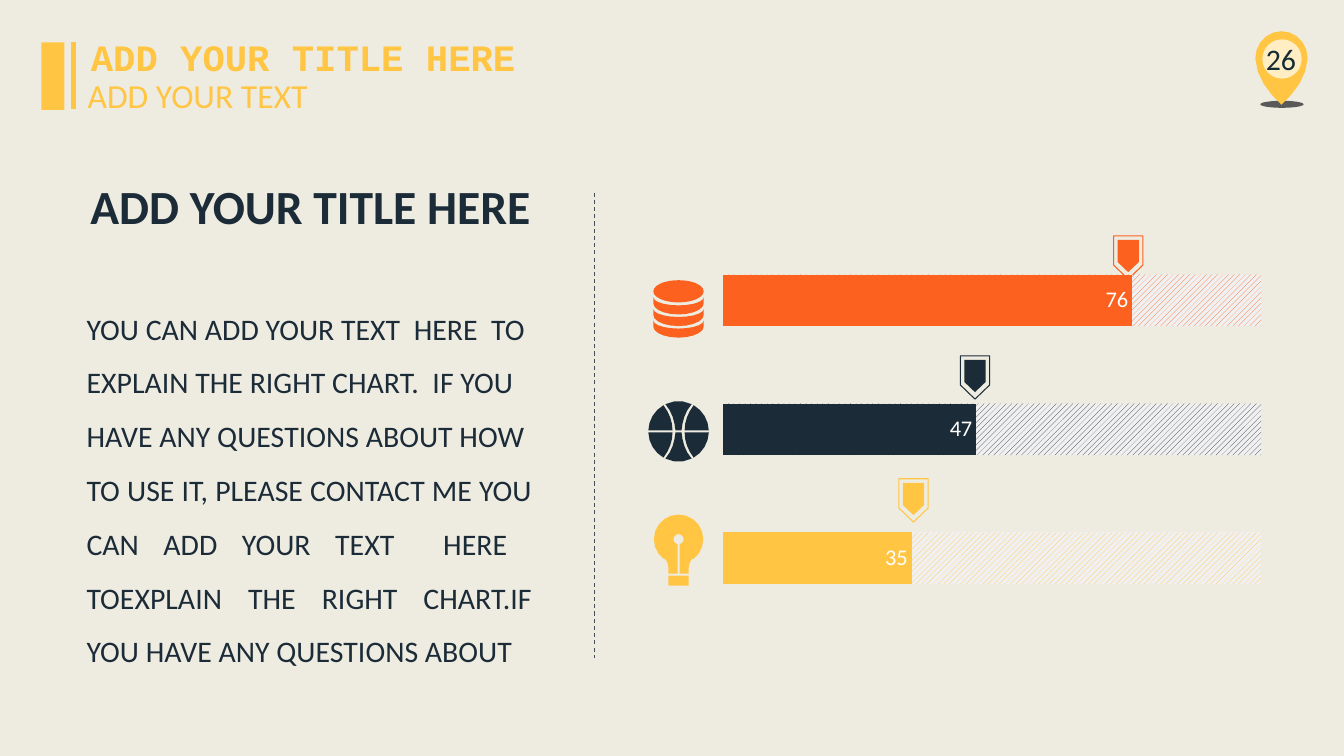
from math import ceil, cos, radians, sin

from lxml.etree import SubElement
from pptx import Presentation
from pptx.chart.data import CategoryChartData
from pptx.dml.color import RGBColor
from pptx.enum.chart import XL_CHART_TYPE, XL_LABEL_POSITION
from pptx.enum.dml import MSO_LINE, MSO_PATTERN
from pptx.enum.shapes import MSO_CONNECTOR, MSO_SHAPE
from pptx.enum.text import MSO_ANCHOR, PP_ALIGN
from pptx.oxml import parse_xml
from pptx.oxml.ns import nsdecls, qn
from pptx.util import Inches, Pt

CREAM, YELLOW, NAVY, ORANGE = "EEECE1", "FFC543", "1C2B38", "FC611F"


def color(value):
    return RGBColor.from_string(value)


def style(shape, fill=None, line=None):
    shape.shadow.inherit = False
    if fill:
        shape.fill.solid()
        shape.fill.fore_color.rgb = color(fill)
    else:
        shape.fill.background()
    if line:
        shape.line.color.rgb = color(line)
        shape.line.width = Pt(0)
    else:
        shape.line.fill.background()
    return shape


def add_preset(slide, kind, left, top, width, height, fill):
    box = (Inches(value) for value in (left, top, width, height))
    return style(slide.shapes.add_shape(kind, *box), fill)


def add_outline(slide, left, top, points, fill=None, line=None):
    corners = [(Inches(left + x), Inches(top + y)) for x, y in points]
    builder = slide.shapes.build_freeform(*corners[0])
    builder.add_line_segments(corners[1:], close=True)
    return style(builder.convert_to_shape(), fill, line)


def add_line(slide, x, top, bottom, stroke, width, dash=None):
    line = slide.shapes.add_connector(
        MSO_CONNECTOR.STRAIGHT, Inches(x), Inches(top), Inches(x), Inches(bottom))
    line.line.color.rgb = color(stroke)
    formats = {"width": Pt(width), "dash_style": dash}
    for name, value in formats.items():
        setattr(line.line, name, value)
    SubElement(line._element.spPr, qn("a:effectLst"))


def add_text(slide, box, lines, size, fill, font="Calibri", bold=False,
             wrap=False, anchor=MSO_ANCHOR.TOP, **paragraph_formats):
    frame = slide.shapes.add_textbox(*(Inches(value) for value in box)).text_frame
    frame.word_wrap = wrap
    frame.vertical_anchor = anchor
    frame.text = "\n".join(lines)
    for paragraph in frame.paragraphs:
        for name, value in paragraph_formats.items():
            setattr(paragraph, name, value)
        run_font = paragraph.runs[0].font
        for name, value in {"size": Pt(size), "name": font, "bold": bold}.items():
            setattr(run_font, name, value)
        run_font.color.rgb = color(fill)


# Outline geometry, in inches; angles run clockwise from the right
def arc(x, y, radius_x, radius_y, start, end):
    steps = ceil(abs(end - start) / 18)
    angles = [radians(start + (end - start) * i / steps) for i in range(steps + 1)]
    return [(x + radius_x * cos(a), y + radius_y * sin(a)) for a in angles]


def curve(*controls, steps=4):
    weights = [(i / steps, 1 - i / steps) for i in range(steps + 1)]
    return [tuple(u ** 3 * a + 3 * u * u * t * b + 3 * u * t * t * c + t ** 3 * d
                  for a, b, c, d in zip(*controls)) for t, u in weights]


def mirror(points, x=1, y=1):
    return [(x * px, y * py) for px, py in points]


# Header: bars, title and subtitle
def add_header(slide, left, top):
    add_preset(slide, MSO_SHAPE.RECTANGLE, left, top, 0.23, 0.67, YELLOW)
    add_line(slide, left + 0.32, top, top + 0.66, YELLOW, 3)
    add_text(slide, (left + 0.38, top - 0.13, 4.44, 0.55), ["ADD YOUR TITLE HERE"],
             26.67, YELLOW, "Courier New", True, alignment=PP_ALIGN.CENTER)
    add_text(slide, (left + 0.36, top + 0.27, 2.41, 0.5), ["ADD YOUR TEXT"], 24, YELLOW)


# Page number inside a map pin
def add_page_pin(slide, x, y, number):
    add_preset(slide, MSO_SHAPE.OVAL, x - 0.21, y + 0.42, 0.43, 0.07, "595959")
    side = curve((0.26, 0), (0.25, 0.18), (0.14, 0.33), (0, 0.46))
    pin = arc(0, 0, 0.26, 0.27, 180, 360) + side[1:] + mirror(side, x=-1)[-2:0:-1]
    add_outline(slide, x, y, pin, YELLOW)
    disc = add_preset(slide, MSO_SHAPE.OVAL, x - 0.19, y - 0.19, 0.39, 0.39, "FFFFFF")
    fill_color = disc._element.spPr.find(qn("a:solidFill"))[0]
    SubElement(fill_color, qn("a:alpha"), val="69000")
    add_text(slide, (x - 1.56, y - 0.2, 3.11, 0.4), [number], 21.33, "152C34",
             wrap=True, anchor=MSO_ANCHOR.MIDDLE, alignment=PP_ALIGN.CENTER)


# Left column: heading and explanation
def add_explanation(slide, left, top):
    add_text(slide, (left, top, 4.62, 0.67), ["ADD YOUR TITLE HERE"], 34, NAVY,
             bold=True, alignment=PP_ALIGN.CENTER)
    add_text(slide, (left - 0.01, top + 1.14, 4.62, 3.87), [
        "YOU CAN ADD YOUR TEXT  HERE  TO",
        "EXPLAIN THE RIGHT CHART.  IF YOU",
        "HAVE ANY QUESTIONS ABOUT HOW",
        "TO USE IT, PLEASE CONTACT ME YOU CAN ADD YOUR TEXT  HERE  TOEXPLAIN "
        "THE RIGHT CHART.IF YOU HAVE ANY QUESTIONS ABOUT",
    ], 21.33, NAVY, wrap=True, alignment=PP_ALIGN.JUSTIFY, line_spacing=1.5)


# Icons, each placed around its centre
def add_coins(slide, x, y, fill):
    add_preset(slide, MSO_SHAPE.OVAL, x - 0.25, y - 0.29, 0.5, 0.22, fill)
    band = arc(0, 0, 0.25, 0.08, 180, 0) + arc(0, 0.06, 0.25, 0.11, 0, 180)
    for row in range(3):
        add_outline(slide, x, y - 0.12 + row * 0.115, band, fill)


def add_ball(slide, x, y, fill):
    panel = curve((0.06, 0.01), (0.06, 0.1), (0.09, 0.18), (0.15, 0.26))
    panel += arc(0, 0, 0.3, 0.3, 60, 2)
    seam = curve((0.03, 0.01), (0.04, 0.1), (0.06, 0.19), (0.13, 0.27))
    middle = seam + arc(0, 0, 0.3, 0.3, 64, 116) + mirror(seam, x=-1)[::-1]
    for vertical in (-1, 1):
        add_outline(slide, x, y, mirror(middle, y=vertical), fill)
        for horizontal in (-1, 1):
            add_outline(slide, x, y, mirror(panel, horizontal, vertical), fill)


def add_bulb(slide, x, y, fill):
    neck = curve((-0.14, 0.09), (-0.12, 0.11), (-0.1, 0.14), (-0.1, 0.19))
    neck.append((-0.1, 0.24))
    filament = [(-0.01, 0.24)] + arc(0, -0.1, 0.05, 0.05, 102, 438) + [(0.01, 0.24)]
    glass = arc(0, -0.1, 0.245, 0.245, 54, -234)
    add_outline(slide, x, y, glass + neck + filament + mirror(neck, x=-1)[::-1], fill)
    add_preset(slide, MSO_SHAPE.RECTANGLE, x - 0.1, y + 0.26, 0.2, 0.1, fill)


def add_marker(slide, x, top, fill):
    for inset, width, shoulder, height in ((0, 0.29, 0.29, 0.43), (0.04, 0.21, 0.22, 0.32)):
        half = width / 2
        tag = [(-half, 0), (half, 0), (half, shoulder), (0, height), (-half, shoulder)]
        add_outline(slide, x, top + inset, tag, *((fill,) if inset else (None, fill)))


# Bars drawn over hatched tracks
def add_bars(slide, left, top, width, height, rows):
    data = CategoryChartData()
    data.categories = [str(i + 1) for i in range(len(rows))]
    data.add_series("Series 1", [100] * len(rows))
    data.add_series("Series 2", [row[0] for row in rows])
    box = (Inches(value) for value in (left, top, width, height))
    chart = slide.shapes.add_chart(XL_CHART_TYPE.BAR_CLUSTERED, *box, data).chart
    chart.has_legend = chart.has_title = False
    chart.font.name, chart.font.size = "Calibri", Pt(10)
    chart.font.color.rgb = color("000000")
    for axis in (chart.category_axis, chart.value_axis):
        axis.visible = axis.has_major_gridlines = False
    chart.value_axis.minimum_scale, chart.value_axis.maximum_scale = 0, 120
    plot = chart.plots[0]
    for name, value in {"gap_width": 150, "overlap": 100, "vary_by_categories": False}.items():
        setattr(plot, name, value)
    tracks, bars = plot.series
    for i, (_, fill) in enumerate(rows):
        hatch = tracks.points[i].format.fill
        hatch.patterned()
        hatch.pattern = MSO_PATTERN.WIDE_UPWARD_DIAGONAL
        hatch.fore_color.rgb, hatch.back_color.rgb = color(fill), color("F1F0F0")
        solid = bars.points[i].format.fill
        solid.solid()
        solid.fore_color.rgb = color(fill)
    labels = bars.data_labels
    labels.show_value, labels.position = True, XL_LABEL_POSITION.INSIDE_END
    labels.font.name, labels.font.size = "Calibri", Pt(16)
    labels.font.color.rgb = color("FFFFFF")
    area = chart._chartSpace.chart.plotArea
    for old in area.findall(qn("c:layout")):
        area.remove(old)
    area.insert(0, parse_xml(
        f'<c:layout {nsdecls("c")}><c:manualLayout><c:layoutTarget val="inner"/>'
        '<c:xMode val="edge"/><c:yMode val="edge"/><c:x val="0.02"/><c:y val="0.02"/>'
        '<c:w val="0.96"/><c:h val="0.96"/></c:manualLayout></c:layout>'))


# Right column: markers, icons and bars
def add_chart_panel(slide, left, top):
    rows = [(35, YELLOW, add_bulb, 3.19, 2.61, 2.49),
            (47, NAVY, add_ball, 2.02, 3.22, 1.27),
            (76, ORANGE, add_coins, 0.81, 4.74, 0.08)]
    for _, fill, add_icon, icon_y, marker_x, marker_top in rows:
        add_marker(slide, left + marker_x, top + marker_top, fill)
        add_icon(slide, left + 0.28, top + icon_y, fill)
    add_bars(slide, left + 0.59, top, 6.67, 4, [row[:2] for row in rows])


presentation = Presentation()
presentation.slide_width, presentation.slide_height = Inches(13.33), Inches(7.5)
slide = presentation.slides.add_slide(presentation.slide_layouts[6])
slide.background.fill.solid()
slide.background.fill.fore_color.rgb = color(CREAM)
add_page_pin(slide, 12.71, 0.58, "26")
add_explanation(slide, 0.77, 1.71)
add_line(slide, 5.9, 1.91, 6.53, "464F5A", 0.75, MSO_LINE.DASH)
add_chart_panel(slide, 6.45, 2.26)
add_header(slide, 0.41, 0.42)
presentation.save("out.pptx")
